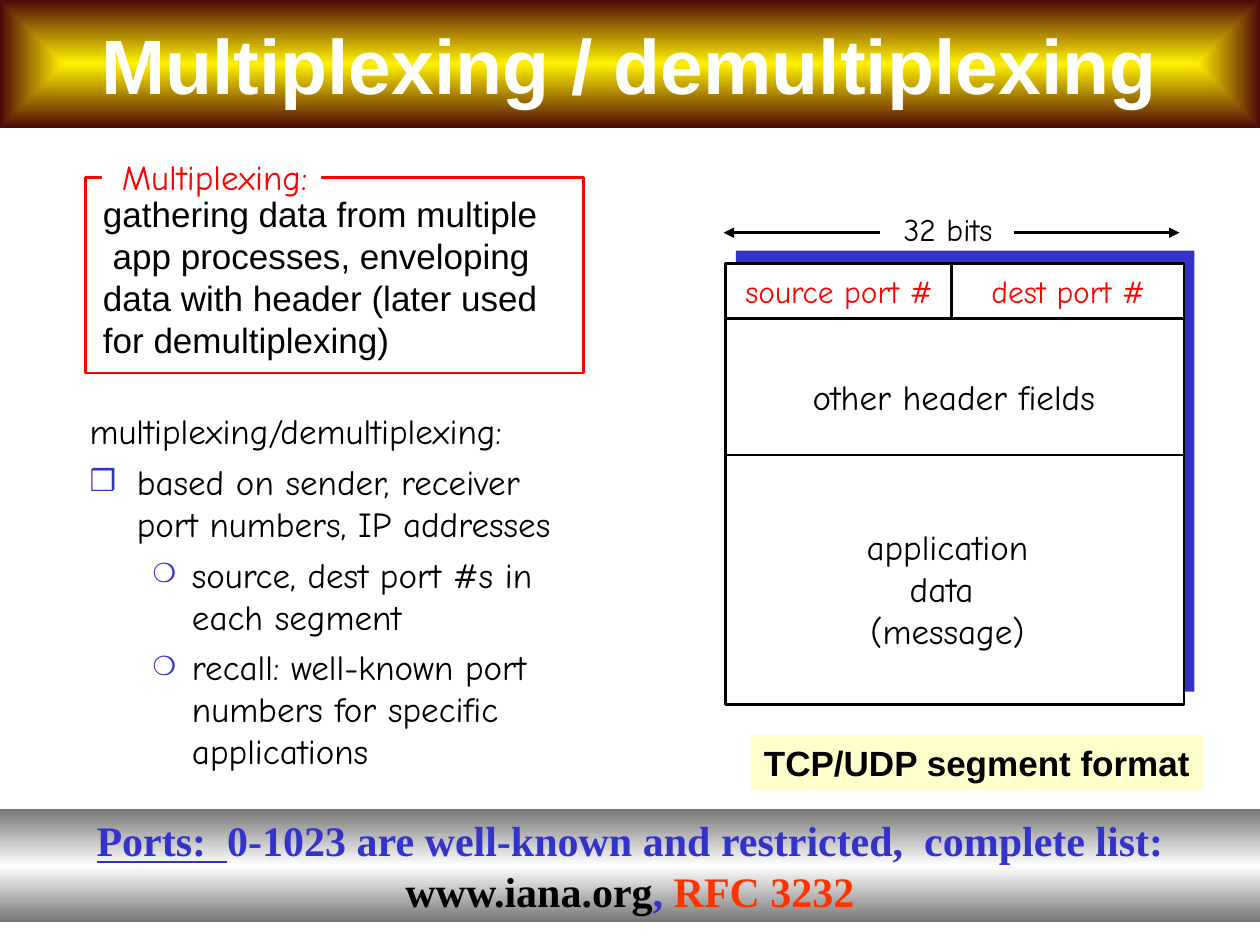
from dataclasses import dataclass
from typing import Optional

from lxml.etree import SubElement
from pptx import Presentation
from pptx.dml.color import RGBColor
from pptx.enum.shapes import MSO_CONNECTOR as Connector, MSO_SHAPE as Preset
from pptx.enum.text import MSO_ANCHOR as Anchor, MSO_AUTO_SIZE as AutoSize, PP_ALIGN as Align
from pptx.oxml.ns import qn
from pptx.util import Pt

BLACK = RGBColor(0x00, 0x00, 0x00)
WHITE = RGBColor(0xFF, 0xFF, 0xFF)
RED = RGBColor(0xFF, 0x00, 0x00)
BLUE = RGBColor(0x33, 0x33, 0xCC)
ORANGE = RGBColor(0xFF, 0x33, 0x00)
CREAM = RGBColor(0xFF, 0xFF, 0xCC)
YELLOW = RGBColor(0xFF, 0xF2, 0x00)
MAROON = RGBColor(0x4D, 0x08, 0x08)
GREY = RGBColor(0x76, 0x76, 0x76)

SANS = "Arial"
HAND = "Comic Neue"
SERIF = "Times New Roman"
LINE_WIDTH = 1.5


@dataclass(frozen=True)
class Box:
    left: float
    top: float
    width: float
    height: float

    def lengths(self) -> tuple:
        return Pt(self.left), Pt(self.top), Pt(self.width), Pt(self.height)


@dataclass(frozen=True)
class Style:
    size: float
    font: str
    color: RGBColor = BLACK
    bold: bool = False
    underline: bool = False


@dataclass(frozen=True)
class Label:
    box: Box
    lines: tuple
    style: Style
    align: Align = Align.CENTER
    fill: Optional[RGBColor] = None


@dataclass(frozen=True)
class Line:
    start: tuple
    end: tuple
    arrow: bool = False


@dataclass(frozen=True)
class Item:
    text: str
    level: int = 0
    margin: float = 27
    hanging: float = 27
    bullet: str = ""
    percent: int = 100


SEGMENT = Box(414.5, 150.5, 262, 252)
SEGMENT_RIGHT = SEGMENT.left + SEGMENT.width
PORTS_BOTTOM = 182
HEADER_BOTTOM = 260
PORTS_MIDDLE = 543.6
ARROW_Y = 133

LINES = (
    Line((SEGMENT.left, PORTS_BOTTOM), (SEGMENT_RIGHT, PORTS_BOTTOM)),
    Line((SEGMENT.left, HEADER_BOTTOM), (SEGMENT_RIGHT, HEADER_BOTTOM)),
    Line((PORTS_MIDDLE, SEGMENT.top), (PORTS_MIDDLE, PORTS_BOTTOM)),
    Line((579.6, ARROW_Y), (674, ARROW_Y), True),
    Line((502.6, ARROW_Y), (413.5, ARROW_Y), True),
)

HAND_LARGE = Style(20, HAND)
HAND_SMALL = Style(18, HAND)
HAND_RED = Style(18, HAND, RED)

DEFINITION = Label(
    Box(51.8, 106.5, 268.5, 103.7),
    ("gathering data from multiple", " app processes, enveloping",
     "data with header (later used", "for demultiplexing)"),
    Style(20, SANS), Align.LEFT)
HEADING = Label(Box(58.6, 85.3, 128.2, 31.7), ("Multiplexing:",), Style(20, HAND, RED))
SEGMENT_LABELS = (
    Label(Box(416.3, 152, 126.4, 28.8), ("source port #",), HAND_RED),
    Label(Box(555.4, 152, 110.2, 28.8), ("dest port #",), HAND_RED),
    Label(Box(505, 116.6, 73.5, 28.8), ("32 bits",), HAND_SMALL),
    Label(Box(481.4, 296.6, 120, 79.2), ("application", "data ", "(message)"), HAND_LARGE),
    Label(Box(453.2, 211, 183.7, 31.7), ("other header fields",), HAND_LARGE),
    Label(Box(429, 420, 258.5, 31.7), ("TCP/UDP segment format",),
          Style(20, SANS, bold=True), fill=CREAM),
)

ITEMS = (
    Item("multiplexing/demultiplexing:"),
    Item("based on sender, receiver port numbers, IP addresses", bullet="❒", percent=85),
    Item("source, dest port #s in each segment", 1, 58.5, 22.5, "❍", 75),
    Item("recall: well-known port numbers for specific applications", 1, 58.5, 22.5, "❍", 75),
)

PORT_RUNS = (
    ("Ports:  ", Style(24, SERIF, BLUE, True, True)),
    ("0-1023 are well-known and restricted,  complete list: ", Style(24, SERIF, BLUE, True)),
    ("www.iana.org", Style(24, SERIF, BLACK, True)),
    (", ", Style(24, SERIF, BLUE, True)),
    ("RFC 3232", Style(24, SERIF, ORANGE, True)),
)


def add_run(paragraph, text: str, style: Style) -> None:
    run = paragraph.add_run()
    run.text = text
    font = run.font
    font.size, font.name, font.bold = Pt(style.size), style.font, style.bold
    font.underline = style.underline
    font.color.rgb = style.color


def next_paragraph(frame, index: int):
    return frame.add_paragraph() if index else frame.paragraphs[0]


def place(shape, box: Box) -> None:
    shape.left, shape.top, shape.width, shape.height = box.lengths()


def fill_gradient(shape, stops: tuple, rectangular: bool = False) -> None:
    shape.fill.gradient()
    gradient = shape._element.spPr.find(qn("a:gradFill"))
    for child in list(gradient):
        gradient.remove(child)
    stop_list = SubElement(gradient, qn("a:gsLst"))
    for position, color in stops:
        stop = SubElement(stop_list, qn("a:gs"), pos=str(position * 1000))
        SubElement(stop, qn("a:srgbClr"), val=str(color))
    if rectangular:
        shade = SubElement(gradient, qn("a:path"), path="rect")
        SubElement(shade, qn("a:fillToRect"), l="50000", t="50000", r="50000", b="50000")
    else:
        SubElement(gradient, qn("a:lin"), ang="5400000", scaled="0")


def add_rectangle(slide, box: Box, fill: Optional[RGBColor] = None,
                  line: Optional[RGBColor] = None):
    shape = slide.shapes.add_shape(Preset.RECTANGLE, *box.lengths())
    shape.shadow.inherit = False
    if fill is None:
        shape.fill.background()
    else:
        shape.fill.solid()
        shape.fill.fore_color.rgb = fill
    if line is None:
        shape.line.fill.background()
    else:
        shape.line.color.rgb = line
        shape.line.width = Pt(LINE_WIDTH)
    return shape


def add_label(slide, label: Label) -> None:
    text_box = slide.shapes.add_textbox(*label.box.lengths())
    if label.fill is not None:
        text_box.fill.solid()
        text_box.fill.fore_color.rgb = label.fill
    text_box.text_frame.word_wrap = False
    text_box.text_frame.auto_size = AutoSize.SHAPE_TO_FIT_TEXT
    for index, text in enumerate(label.lines):
        paragraph = next_paragraph(text_box.text_frame, index)
        paragraph.alignment = label.align
        add_run(paragraph, text, label.style)


def add_line(slide, line: Line) -> None:
    ends = [Pt(value) for value in line.start + line.end]
    connector = slide.shapes.add_connector(Connector.STRAIGHT, *ends)
    connector.line.color.rgb = BLACK
    connector.line.width = Pt(LINE_WIDTH)
    if line.arrow:
        SubElement(connector.line._get_or_add_ln(), qn("a:tailEnd"), type="triangle")
    SubElement(connector._element.spPr, qn("a:effectLst"))


def add_item(frame, index: int, item: Item) -> None:
    paragraph = next_paragraph(frame, index)
    paragraph.level = item.level
    properties = paragraph._p.get_or_add_pPr()
    properties.set("marL", str(Pt(item.margin)))
    properties.set("indent", str(-Pt(item.hanging)))
    if item.bullet:
        color = SubElement(properties, qn("a:buClr"))
        SubElement(color, qn("a:srgbClr"), val=str(BLUE))
        SubElement(properties, qn("a:buSzPct"), val=str(item.percent * 1000))
        SubElement(properties, qn("a:buChar"), char=item.bullet)
    else:
        SubElement(properties, qn("a:buNone"))
    paragraph.space_before = Pt(5 if index else 0)
    add_run(paragraph, item.text, HAND_LARGE)


def main() -> None:
    presentation = Presentation()
    presentation.slide_width, presentation.slide_height = Pt(720), Pt(540)
    slide = presentation.slides.add_slide(presentation.slide_layouts[1])

    title = slide.shapes.title
    place(title, Box(0, 0, 720, 73))
    fill_gradient(title, ((0, YELLOW), (100, MAROON)), rectangular=True)
    title.text_frame.auto_size = AutoSize.NONE
    title.text_frame.vertical_anchor = Anchor.MIDDLE
    title.text_frame.paragraphs[0].alignment = Align.CENTER
    add_run(title.text_frame.paragraphs[0], "Multiplexing / demultiplexing",
            Style(44, SANS, WHITE, True))

    body = slide.placeholders[1]
    place(body, Box(44, 230.4, 300, 222.5))
    body.text_frame.auto_size = AutoSize.NONE
    for index, item in enumerate(ITEMS):
        add_item(body.text_frame, index, item)

    add_rectangle(slide, Box(420.5, 143.3, 262, 252), BLUE)
    add_rectangle(slide, SEGMENT, WHITE, BLACK)
    for line in LINES:
        add_line(slide, line)
    for label in SEGMENT_LABELS:
        add_label(slide, label)

    add_rectangle(slide, Box(49, 101.5, 284.4, 111.6), line=RED)
    add_rectangle(slide, Box(58.3, 87, 125.3, 26), WHITE)
    add_label(slide, DEFINITION)
    add_label(slide, HEADING)

    banner = add_rectangle(slide, Box(0, 462.2, 720, 64.8))
    fill_gradient(banner, ((0, GREY), (50, WHITE), (100, GREY)))
    banner.text_frame.word_wrap = True
    banner.text_frame.vertical_anchor = Anchor.TOP
    banner.text_frame.paragraphs[0].alignment = Align.CENTER
    for text, style in PORT_RUNS:
        add_run(banner.text_frame.paragraphs[0], text, style)

    presentation.save("out.pptx")


if __name__ == "__main__":
    main()
